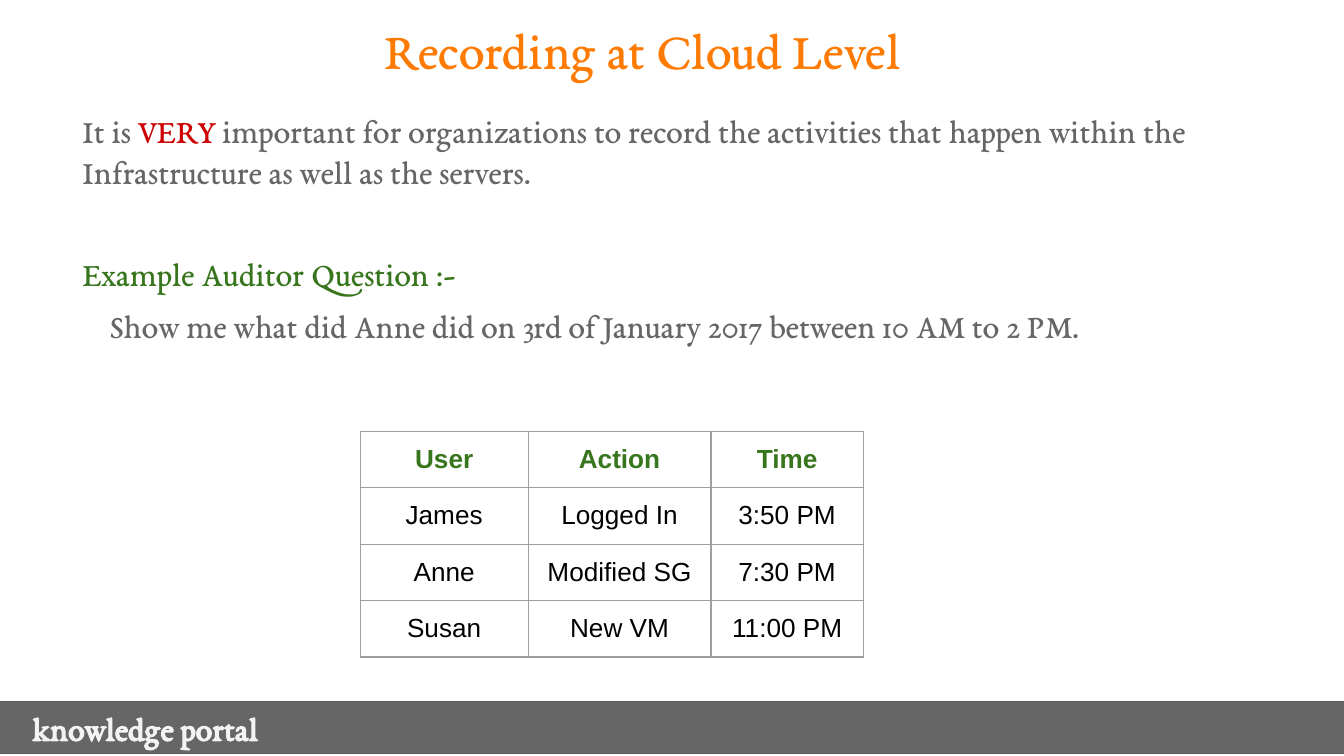
import dataclasses

import pptx
import pptx.dml.color
import pptx.enum.shapes
import pptx.enum.text
import pptx.oxml.ns
import pptx.util
from lxml import etree

PX = 4572  # EMU per px, 200 px to the inch
INSET = 20
CENTER = pptx.enum.text.PP_ALIGN.CENTER
MIDDLE = pptx.enum.text.MSO_ANCHOR.MIDDLE


@dataclasses.dataclass(frozen=True)
class Theme:
    serif: str = "EB Garamond"
    sans: str = "Arial"
    title_size: int = 28
    body_size: int = 18
    table_size: int = 14
    orange: str = "FF7A00"
    gray: str = "666666"
    red: str = "CC0000"
    green: str = "38761D"
    black: str = "000000"
    white: str = "FFFFFF"
    footer_text: str = "F3F3F3"
    footer_line: str = "595959"
    grid: str = "9E9E9E"
    line_width: float = 0.75


def px(length):
    return pptx.util.Emu(length * PX)


def rgb(color):
    return pptx.dml.color.RGBColor.from_string(color)


class SlideBuilder:
    def __init__(self, slide, theme):
        self.slide = slide
        self.theme = theme

    def style(self, font, size, color, name=None, bold=False):
        font.name = name or self.theme.serif
        font.size = pptx.util.Pt(size)
        font.bold = bold
        font.color.rgb = rgb(color)

    def frame(self, shape, anchor, left_inset=INSET):
        frame = shape.text_frame
        frame.word_wrap = True
        frame.auto_size = pptx.enum.text.MSO_AUTO_SIZE.NONE
        frame.vertical_anchor = anchor
        frame.margin_left = px(left_inset)
        frame.margin_top = frame.margin_right = frame.margin_bottom = px(INSET)
        return frame

    def title(self, text, left, top, width, height):
        shape = self.slide.shapes.title
        shape.left, shape.top = px(left), px(top)
        shape.width, shape.height = px(width), px(height)
        paragraph = self.frame(shape, MIDDLE).paragraphs[0]
        paragraph.text = text
        paragraph.alignment = CENTER
        self.style(paragraph.font, self.theme.title_size, self.theme.orange)

    def footer(self, text, left, top, width, height):
        shape = self.slide.shapes.add_shape(
            pptx.enum.shapes.MSO_SHAPE.RECTANGLE,
            px(left), px(top), px(width), px(height))
        shape.shadow.inherit = False
        shape.fill.solid()
        shape.fill.fore_color.rgb = rgb(self.theme.gray)
        shape.line.color.rgb = rgb(self.theme.footer_line)
        shape.line.width = pptx.util.Pt(self.theme.line_width)
        paragraph = self.frame(shape, MIDDLE, left_inset=50).paragraphs[0]
        paragraph.text = text
        paragraph.alignment = pptx.enum.text.PP_ALIGN.LEFT
        self.style(paragraph.font, self.theme.body_size,
                   self.theme.footer_text, bold=True)

    def body(self, paragraphs, left, top, width, height):
        """Each paragraph is (space before, indent, [(text, color), ...])."""
        box = self.slide.shapes.add_textbox(
            px(left), px(top), px(width), px(height))
        frame = self.frame(box, pptx.enum.text.MSO_ANCHOR.TOP)
        for index, (space, indent, runs) in enumerate(paragraphs):
            paragraph = frame.add_paragraph() if index else frame.paragraphs[0]
            paragraph.space_before = pptx.util.Pt(space)
            paragraph._p.get_or_add_pPr().set("marL", str(px(indent)))
            for text, color in runs:
                run = paragraph.add_run()
                run.text = text
                self.style(run.font, self.theme.body_size, color)

    def borders(self, cell):
        properties = cell._tc.get_or_add_tcPr()
        for side in ("lnL", "lnR", "lnT", "lnB"):
            line = etree.SubElement(properties, pptx.oxml.ns.qn(f"a:{side}"))
            line.set("w", str(pptx.util.Pt(self.theme.line_width)))
            fill = etree.SubElement(line, pptx.oxml.ns.qn("a:solidFill"))
            color = etree.SubElement(fill, pptx.oxml.ns.qn("a:srgbClr"))
            color.set("val", self.theme.grid)

    def table(self, rows, left, top, column_widths, row_height):
        table = self.slide.shapes.add_table(
            len(rows), len(column_widths), px(left), px(top),
            px(sum(column_widths)), px(row_height * len(rows))).table
        table.horz_banding = False
        for column, width in zip(table.columns, column_widths):
            column.width = px(width)
        for row_index, values in enumerate(rows):
            header = row_index == 0
            table.rows[row_index].height = px(row_height)
            for column_index, value in enumerate(values):
                cell = table.cell(row_index, column_index)
                cell.margin_left = cell.margin_right = px(INSET)
                cell.margin_top = cell.margin_bottom = px(INSET)
                self.borders(cell)
                cell.fill.solid()
                cell.fill.fore_color.rgb = rgb(self.theme.white)
                paragraph = cell.text_frame.paragraphs[0]
                paragraph.text = value
                paragraph.alignment = CENTER
                self.style(paragraph.font, self.theme.table_size,
                           self.theme.green if header else self.theme.black,
                           self.theme.sans, bold=header)


def main():
    presentation = pptx.Presentation()
    presentation.slide_width, presentation.slide_height = px(2000), px(1125)
    theme = Theme()
    slide = presentation.slides.add_slide(presentation.slide_layouts[5])
    builder = SlideBuilder(slide, theme)

    # Footer band
    builder.footer("knowledge portal", -2, 1044, 2004, 77)

    # Title
    builder.title("Recording at Cloud Level", 178, 13, 1556, 120)

    # Explanation and example question
    builder.body([
        (0, 0, [
            ("It is ", theme.gray),
            ("VERY ", theme.red),
            ("important for organizations to record the activities that "
             "happen within the Infrastructure as well as the servers.",
             theme.gray),
        ]),
        (33.5, 0, [("Example Auditor Question :-", theme.green)]),
        (6, 41, [("Show me what did Anne did on 3rd of January 2017 "
                  "between 10 AM to 2 PM.", theme.gray)]),
    ], 103, 144, 1852, 440)

    # Activity log
    builder.table([
        ("User", "Action", "Time"),
        ("James", "Logged In", "3:50 PM"),
        ("Anne", "Modified SG", "7:30 PM"),
        ("Susan", "New VM", "11:00 PM"),
    ], 536, 642, (250, 272, 227), 84)

    presentation.save("out.pptx")


if __name__ == "__main__":
    main()
